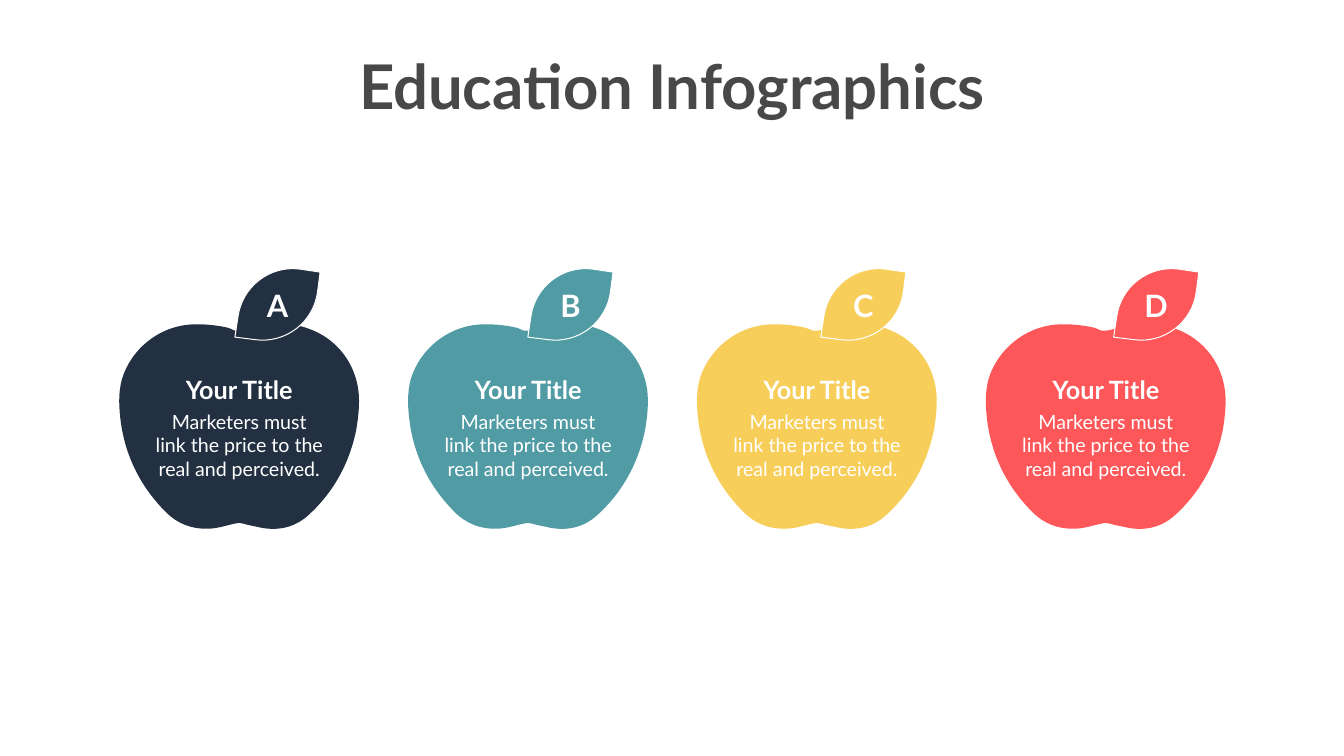
import lxml.etree
import pptx
import pptx.dml.color
import pptx.enum.text
import pptx.oxml.ns
import pptx.util

WIDE, HIGH = 26.66, 15
FONT, WHITE, GREY = "Lato", "FFFFFF", "484848"
HEAD = "Education Infographics"
NAME = "Your Title"
BODY = "Marketers must link the price to the real and perceived."
ITEMS = [("A", "223042"), ("B", "509BA4"), ("C", "F8CE5A"), ("D", "FD575A")]

# Outlines in hundredths of an inch from the shape's corner: a pair is a
# straight step, six numbers are a cubic curve (two controls and an end).
APPLE = {"size": (480, 415), "parts": [
    (477, 135),
    (469, 73, 426, 24, 365, 8),
    (335, 0, 305, 3, 275, 8),
    (268, 9, 265, 11, 258, 12),
    (253, 14, 245, 16, 240, 16),
    (236, 17, 233, 16, 229, 15),
    (225, 13, 221, 11, 217, 10),
    (195, 5, 164, 2, 142, 4),
    (80, 9, 26, 53, 8, 112),
    (0, 141, 2, 170, 6, 200),
    (16, 268, 46, 327, 95, 376),
    (118, 399, 146, 410, 178, 409),
    (196, 409, 213, 403, 231, 399),
    (237, 397, 243, 397, 249, 399),
    (258, 402, 266, 403, 275, 405),
    (314, 415, 350, 408, 379, 381),
    (429, 335, 460, 277, 473, 211),
    (477, 186, 480, 160, 477, 135),
]}
LEAF = {"size": (169, 156), "parts": [
    (40, 148),
    (0, 143),
    (6, 103),
    (14, 43, 69, 0, 129, 8),
    (169, 14),
    (164, 53),
    (156, 114, 100, 156, 40, 148),
]}

# Left edge of the first column and the step to the next one
APPLES, LEAVES = (2.34, 5.73), (4.66, 5.81)
APPLE_TOP, LEAF_TOP = 6.4, 5.26


def paint(hue):
    return pptx.dml.color.RGBColor.from_string(hue)


def bend(shape, form):
    """Redraw the shape's outline with the form's true curves."""
    qn = pptx.oxml.ns.qn
    track = next(shape._element.iter(qn("a:path")))
    for child in list(track):
        track.remove(child)
    for key, value in zip("wh", form["size"]):
        track.set(key, str(value))
    for spot, part in enumerate(form["parts"]):
        tag = "a:cubicBezTo" if len(part) == 6 else "a:lnTo" if spot else "a:moveTo"
        move = lxml.etree.SubElement(track, qn(tag))
        for x, y in zip(part[::2], part[1::2]):
            lxml.etree.SubElement(move, qn("a:pt"), x=str(x), y=str(y))
    lxml.etree.SubElement(track, qn("a:close"))


def outline(slide, form, left, top, hue, edge=None):
    ends = [part[-2:] for part in form["parts"]]
    pen = slide.shapes.build_freeform(*ends[0], scale=pptx.util.Inches(1) / 100)
    pen.add_line_segments(ends[1:], close=True)
    shape = pen.convert_to_shape()
    bend(shape, form)
    wide, high = (side / 100 for side in form["size"])
    place = {"left": left, "top": top, "width": wide, "height": high}
    for key, value in place.items():
        setattr(shape, key, pptx.util.Inches(value))
    shape.shadow.inherit = False
    shape.fill.solid()
    shape.fill.fore_color.rgb = paint(hue)
    if edge:
        shape.line.color.rgb = paint(edge)
        shape.line.width = pptx.util.Pt(1.45)
    else:
        shape.line.fill.background()


def label(slide, text, box, size, hue=WHITE, bold=True, wrap=True):
    frame = slide.shapes.add_textbox(*map(pptx.util.Inches, box)).text_frame
    frame.word_wrap = wrap
    frame.auto_size = pptx.enum.text.MSO_AUTO_SIZE.SHAPE_TO_FIT_TEXT
    line = frame.paragraphs[0]
    line.alignment = pptx.enum.text.PP_ALIGN.CENTER
    run = line.add_run()
    run.text = text
    style = {"name": FONT, "size": pptx.util.Pt(size), "bold": bold}
    for key, value in style.items():
        setattr(run.font, key, value)
    run.font.color.rgb = paint(hue)


def main():
    deck = pptx.Presentation()
    deck.slide_width = pptx.util.Inches(WIDE)
    deck.slide_height = pptx.util.Inches(HIGH)
    slide = deck.slides.add_slide(deck.slide_layouts[6])

    span = 12.89
    label(slide, HEAD, ((WIDE - span) / 2, 0.91, span, 1.58), 88, GREY, wrap=False)
    for col, (mark, hue) in enumerate(ITEMS):
        left, stem = (start + col * step for start, step in (APPLES, LEAVES))
        outline(slide, APPLE, left, APPLE_TOP, hue)
        outline(slide, LEAF, stem, LEAF_TOP, hue, WHITE)
        label(slide, mark, (stem + 0.09, LEAF_TOP + 0.38, 1.51, 0.95), 44)
        label(slide, BODY, (left + 0.63, APPLE_TOP + 1.68, 3.55, 1.51), 28, bold=False)
        label(slide, NAME, (left + 0.63, APPLE_TOP + 0.97, 3.55, 0.71), 36)
    deck.save("out.pptx")


if __name__ == "__main__":
    main()
